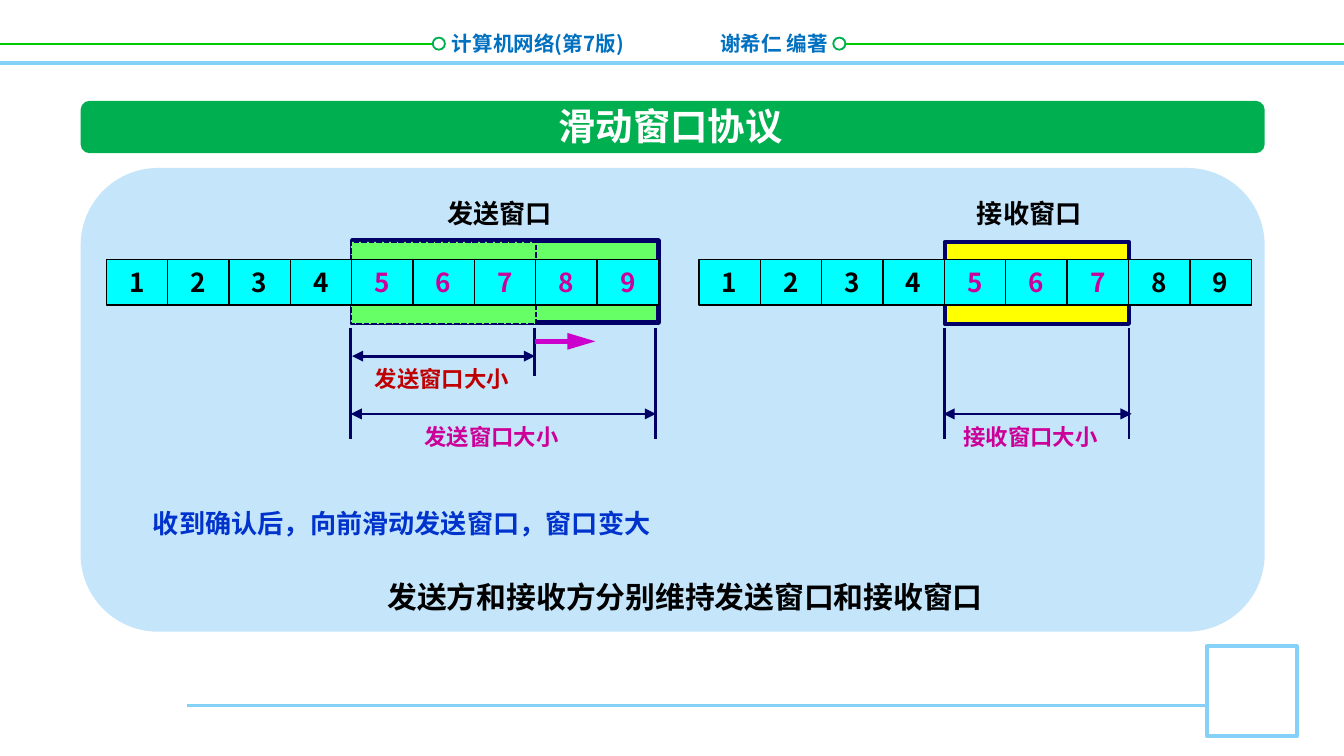
from pptx import Presentation
from pptx.dml.color import RGBColor
from pptx.enum.dml import MSO_LINE
from pptx.enum.shapes import MSO_CONNECTOR, MSO_SHAPE
from pptx.enum.text import MSO_ANCHOR, MSO_AUTO_SIZE, PP_ALIGN
from pptx.oxml.ns import qn
from pptx.util import Inches, Pt
from lxml import etree

STRAIGHT = MSO_CONNECTOR.STRAIGHT
RECT, OVAL, ROUNDED = MSO_SHAPE.RECTANGLE, MSO_SHAPE.OVAL, MSO_SHAPE.ROUNDED_RECTANGLE
LEFT, CENTER, RIGHT = PP_ALIGN.LEFT, PP_ALIGN.CENTER, PP_ALIGN.RIGHT
TOP, MIDDLE = MSO_ANCHOR.TOP, MSO_ANCHOR.MIDDLE
GROW, FIXED = MSO_AUTO_SIZE.SHAPE_TO_FIT_TEXT, MSO_AUTO_SIZE.NONE
DASHED = MSO_LINE.SQUARE_DOT

FONT = "Noto Sans CJK SC"
BLACK = RGBColor(0x00, 0x00, 0x00)
WHITE = RGBColor(0xFF, 0xFF, 0xFF)
SKY = RGBColor(0x85, 0xD1, 0xF7)
PALE_BLUE = RGBColor(0xC5, 0xE5, 0xFB)
LIME = RGBColor(0x00, 0xCC, 0x00)
GREEN = RGBColor(0x00, 0xB0, 0x50)
LIGHT_GREEN = RGBColor(0x66, 0xFF, 0x66)
HEADER_BLUE = RGBColor(0x00, 0x70, 0xC0)
NOTE_BLUE = RGBColor(0x00, 0x33, 0xCC)
NAVY = RGBColor(0x00, 0x00, 0x66)
CYAN = RGBColor(0x00, 0xFF, 0xFF)
YELLOW = RGBColor(0xFF, 0xFF, 0x00)
MAGENTA = RGBColor(0xCC, 0x00, 0x99)
VIOLET = RGBColor(0xCC, 0x00, 0xCC)
RED = RGBColor(0xC0, 0x00, 0x00)

STRIP_TOP, STRIP_BOTTOM = 1.93, 2.27
STRIP_WIDTH, CELLS = 4.11, 9
GUIDE_TOP, GUIDE_BOTTOM, SPAN_Y = 2.44, 3.27, 3.08


class SlideBuilder:
    """Holds the text style and the slide being drawn."""

    def __init__(self, deck):
        self.page = deck.slides.add_slide(deck.slide_layouts[6])
        self.shapes = self.page.shapes
        self.font = FONT

    def shape(self, kind, left, top, width, height, fill, line=None, weight=1, dash=None, radius=None):
        box = self.shapes.add_shape(kind, Inches(left), Inches(top), Inches(width), Inches(height))
        box.shadow.inherit = False
        box.fill.solid()
        box.fill.fore_color.rgb = fill
        if line is None:
            box.line.fill.background()
        else:
            box.line.color.rgb = line
            box.line.width = Pt(weight)
        if dash is not None:
            box.line.dash_style = dash
        if radius is not None:
            box.adjustments[0] = radius

    def line(self, x1, y1, x2, y2, color, weight, head=False, tail=False, length="med"):
        rule = self.shapes.add_connector(STRAIGHT, Inches(x1), Inches(y1), Inches(x2), Inches(y2))
        rule.line.color.rgb = color
        rule.line.width = Pt(weight)
        outline = rule.line._get_or_add_ln()
        for wanted, tag in ((head, "a:headEnd"), (tail, "a:tailEnd")):
            if wanted:
                etree.SubElement(outline, qn(tag), type="triangle", len=length)
        etree.SubElement(rule._element.spPr, qn("a:effectLst"))

    def text(self, words, left, top, width, height, size, color, align=LEFT, wrap=False, anchor=TOP, fit=GROW):
        box = self.shapes.add_textbox(Inches(left), Inches(top), Inches(width), Inches(height))
        frame = box.text_frame
        frame.word_wrap = wrap
        frame.auto_size = fit
        frame.vertical_anchor = anchor
        para = frame.paragraphs[0]
        para.alignment = align
        span = para.add_run()
        span.text = words
        span.font.name = self.font
        span.font.size = Pt(size)
        span.font.bold = True
        span.font.color.rgb = color
        etree.SubElement(span.font._element, qn("a:ea"), typeface=self.font)

    def strip(self, left, window):
        self.shapes = self.page.shapes.add_group_shape().shapes
        height = STRIP_BOTTOM - STRIP_TOP
        step = STRIP_WIDTH / CELLS
        self.shape(RECT, left, STRIP_TOP, STRIP_WIDTH, height, CYAN, BLACK, 0.75)
        for index in range(CELLS):
            number = index + 1
            x = left + index * step
            color = MAGENTA if number in window else BLACK
            self.text(str(number), x, STRIP_TOP, step, height, 14, color, CENTER, anchor=MIDDLE, fit=FIXED)
            if index:
                self.line(x, STRIP_TOP, x, STRIP_BOTTOM, BLACK, 0.75)
        self.shapes = self.page.shapes

    def guides(self, *places):
        for x in places:
            self.line(x, GUIDE_TOP, x, GUIDE_BOTTOM, NAVY, 1.5)

    def measure(self, x1, x2, y):
        self.line(x1, y, x2, y, NAVY, 1.5, head=True, tail=True)


def draw_frame(slide):
    slide.line(0, 0.47, 10, 0.47, SKY, 2)
    slide.text("谢希仁 编著", 5.26, 0.18, 1.16, 0.29, 11, HEADER_BLUE, wrap=True)
    slide.text("计算机网络(第7版)", 3.24, 0.18, 1.5, 0.29, 11, HEADER_BLUE, RIGHT, wrap=True)
    for start, end, ring in ((0, 3.24, 3.22), (6.2, 10, 6.2)):
        slide.line(start, 0.33, end, 0.33, LIME, 1)
        slide.shape(OVAL, ring, 0.28, 0.09, 0.09, WHITE, GREEN)
    slide.line(1.39, 5.25, 8.98, 5.25, SKY, 1.5)
    slide.shape(RECT, 8.98, 4.81, 0.67, 0.67, WHITE, SKY, 2)
    slide.shape(ROUNDED, 0.6, 0.75, 8.81, 0.39, GREEN, radius=0.17)
    slide.text("滑动窗口协议", 4.05, 0.72, 1.88, 0.44, 20, WHITE, CENTER)
    slide.shape(ROUNDED, 0.6, 1.25, 8.81, 3.45, PALE_BLUE)


def draw_sender(slide):
    slide.text("发送窗口", 3.23, 1.42, 0.99, 0.34, 14, BLACK)
    slide.guides(2.61, 4.88)
    slide.measure(2.61, 4.88, SPAN_Y)
    slide.text("发送窗口大小", 3.06, 3.1, 1.21, 0.3, 12, MAGENTA)
    slide.shape(RECT, 2.62, 1.79, 2.28, 0.61, LIGHT_GREEN, NAVY, 2.25)
    slide.line(3.98, GUIDE_TOP, 3.98, 2.8, NAVY, 1.5)
    slide.measure(2.62, 3.98, 2.65)
    slide.text("发送窗口大小", 2.69, 2.67, 1.21, 0.3, 12, RED)
    slide.line(3.98, 2.54, 4.43, 2.54, VIOLET, 3, tail=True, length="lg")
    slide.shape(RECT, 2.61, 1.8, 1.38, 0.61, LIGHT_GREEN, NAVY, 1, DASHED)
    slide.strip(0.79, range(5, 10))


def draw_receiver(slide):
    slide.shape(RECT, 7.03, 1.8, 1.37, 0.61, YELLOW, NAVY, 2.25)
    slide.strip(5.2, range(5, 8))
    slide.text("接收窗口", 7.17, 1.42, 0.99, 0.34, 14, BLACK)
    slide.guides(7.03, 8.4)
    slide.measure(7.02, 8.42, SPAN_Y)
    slide.text("接收窗口大小", 7.07, 3.1, 1.21, 0.3, 12, MAGENTA)


def main():
    deck = Presentation()
    deck.slide_width = Inches(10)
    deck.slide_height = deck.slide_width * 9 // 16
    slide = SlideBuilder(deck)
    draw_frame(slide)
    draw_sender(slide)
    draw_receiver(slide)
    slide.text("收到确认后，向前滑动发送窗口，窗口变大", 1.04, 3.73, 3.93, 0.34, 14, NOTE_BLUE)
    slide.text("发送方和接收方分别维持发送窗口和接收窗口", 2.48, 4.26, 5.24, 0.37, 16, BLACK, CENTER, wrap=True)
    deck.save("out.pptx")


if __name__ == "__main__":
    main()
